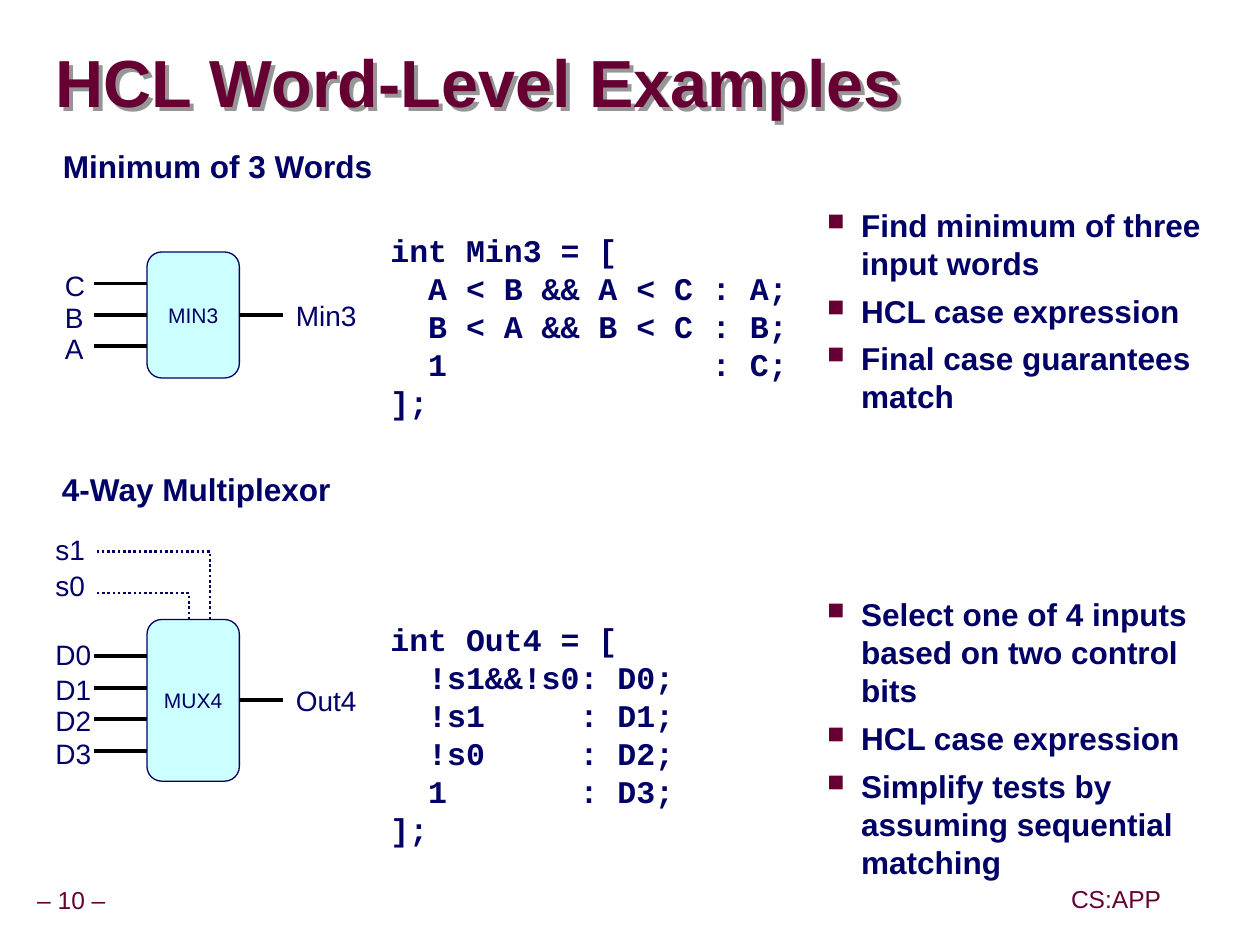
from lxml import etree
from pptx import Presentation
from pptx import util as u
from pptx.dml.color import RGBColor
from pptx.enum import dml, shapes, text
from pptx.oxml import ns

MAROON = RGBColor(0x66, 0x00, 0x33)
NAVY = RGBColor(0x00, 0x00, 0x66)
AQUA = RGBColor(0xCC, 0xFF, 0xFF)
BLACK = RGBColor(0x00, 0x00, 0x00)

deck = Presentation()
deck.slide_width = u.Inches(9.99)
deck.slide_height = u.Inches(7.49)
COL = deck.slide_width / 120
ROW = deck.slide_height / 90
slide = deck.slides.add_slide(deck.slide_layouts[6])


def grid(col, row):
    return round(col * COL), round(row * ROW)


def write(content, place, size=18, color=NAVY, font="Arial", bold=False,
          inset=0.1, spacing=None, middle=False, center=False, bullet=False):
    col, row, cols, rows = place
    box = slide.shapes.add_textbox(*grid(col, row), *grid(cols, rows))
    frame = box.text_frame
    frame.word_wrap = True
    frame.margin_left = frame.margin_right = u.Inches(inset)
    frame.margin_top = frame.margin_bottom = u.Inches(min(inset, 0.05))
    frame.vertical_anchor = text.MSO_ANCHOR.MIDDLE if middle else text.MSO_ANCHOR.TOP
    for number, line in enumerate(content.split("\n")):
        para = frame.paragraphs[0] if number == 0 else frame.add_paragraph()
        para.line_spacing = spacing or u.Pt(size * 1.205)
        para.alignment = text.PP_ALIGN.CENTER if center else text.PP_ALIGN.LEFT
        if bullet:
            if number:
                para.space_before = u.Pt(5.6)
            props = para._p.get_or_add_pPr()
            props.set("marL", str(u.Inches(0.81)))
            props.set("indent", str(u.Inches(-0.27)))
            tint = etree.SubElement(props, ns.qn("a:buClr"))
            etree.SubElement(tint, ns.qn("a:srgbClr"), val=str(MAROON))
            etree.SubElement(props, ns.qn("a:buSzPct"), val="75000")
            etree.SubElement(props, ns.qn("a:buChar"), char="■")
        run = para.add_run()
        run.text = line
        run.font.name = font
        run.font.size = u.Pt(size)
        run.font.bold = bold
        run.font.color.rgb = color
    return box


def draw_wire(start_col, end_col, row):
    wire = slide.shapes.add_connector(
        shapes.MSO_CONNECTOR.STRAIGHT, *grid(start_col, row), *grid(end_col, row))
    wire.line.color.rgb = BLACK
    wire.line.width = u.Pt(2.25)
    etree.SubElement(wire._element.spPr, ns.qn("a:effectLst"))
    return wire


title = write("HCL Word-Level Examples", (5.3, 3.2, 114, 10.2), size=38,
              color=MAROON, bold=True, inset=0, spacing=0.87, middle=True)
effects = etree.SubElement(title._element.spPr, ns.qn("a:effectLst"))
cast = etree.SubElement(effects, ns.qn("a:outerShdw"),
                        dist="40000", dir="2700000", algn="ctr", rotWithShape="0")
etree.SubElement(cast, ns.qn("a:srgbClr"), val="969696")

for footer, place in (("– 10 –", (0.8, 84, 12, 3.7)), ("CS:APP", (100.3, 83.9, 12, 3.7))):
    write(footer, place, size=14, color=MAROON, inset=0.05, spacing=0.9,
          middle=True, center=True)

for heading, place in (("Minimum of 3 Words", (5.4, 13.8, 36, 4.4)),
                       ("4-Way Multiplexor", (5.3, 44.6, 36, 4.4))):
    write(heading, place, bold=True, inset=0.05, spacing=0.9)

min_code = """int Min3 = [
  A < B && A < C : A;
  B < A && B < C : B;
  1              : C;
];"""
mux_code = """int Out4 = [
  !s1&&!s0: D0;
  !s1     : D1;
  !s0     : D2;
  1       : D3;
];"""
min_notes = """Find minimum of three input words
HCL case expression
Final case guarantees match"""
mux_notes = """Select one of 4 inputs based on two control bits
HCL case expression
Simplify tests by assuming sequential matching"""

for code, code_row, notes, notes_row in ((min_code, 21.4, min_notes, 19),
                                         (mux_code, 58.4, mux_notes, 56.1)):
    write(code, (36, code_row, 41, 23), font="Courier New", bold=True)
    write(notes, (71.1, notes_row, 46, 30), bold=True, bullet=True)

for signal, label_row, wire_row, wire_col in (("s1", 50.1, 52.5, 20), ("s0", 53.5, 56.5, 18)):
    write(signal, (4.1, label_row, 6, 4.4), size=16)
    path = slide.shapes.build_freeform(*grid(wire_col, 59))
    path.add_line_segments([grid(wire_col, wire_row), grid(9, wire_row)], close=False)
    control = path.convert_to_shape()
    control.shadow.inherit = False
    control.fill.background()
    control.line.color.rgb = NAVY
    control.line.width = u.Pt(1.5)
    control.line.dash_style = dml.MSO_LINE.ROUND_DOT

blocks = (
    ("MIN3", 24, 12, "Min3", 5, 27, (("C", 25), ("B", 28), ("A", 31))),
    ("MUX4", 59, 15.4, "Out4", 4.1, 62.5,
     (("D0", 60.1), ("D1", 63.4), ("D2", 66.4), ("D3", 69.5))),
)
for name, top, height, output, label_col, first_wire, inputs in blocks:
    middle_row = top + height / 2
    block = slide.shapes.add_shape(shapes.MSO_SHAPE.ROUNDED_RECTANGLE,
                                   *grid(14, top), *grid(8.8, height))
    block.adjustments[0] = 0.16
    block.shadow.inherit = False
    block.fill.solid()
    block.fill.fore_color.rgb = AQUA
    block.line.color.rgb = NAVY
    block.line.width = u.Pt(0.75)
    block.text_frame.word_wrap = False
    block.text_frame.vertical_anchor = text.MSO_ANCHOR.MIDDLE
    caption = block.text_frame.paragraphs[0]
    caption.text = name
    caption.alignment = text.PP_ALIGN.CENTER
    caption.font.name = "Arial"
    caption.font.size = u.Pt(12)
    caption.font.color.rgb = NAVY

    draw_wire(22.8, 27, middle_row).begin_connect(block, 3)
    write(output, (27, middle_row - 2.2, 9, 4.4), size=16)
    for number, (signal, label_row) in enumerate(inputs):
        wire_row = first_wire + 3 * number
        wire = draw_wire(9, 14, wire_row)
        if wire_row == middle_row:
            wire.end_connect(block, 1)
        write(signal, (label_col, label_row, 6, 4.4), size=16)

deck.save("out.pptx")
